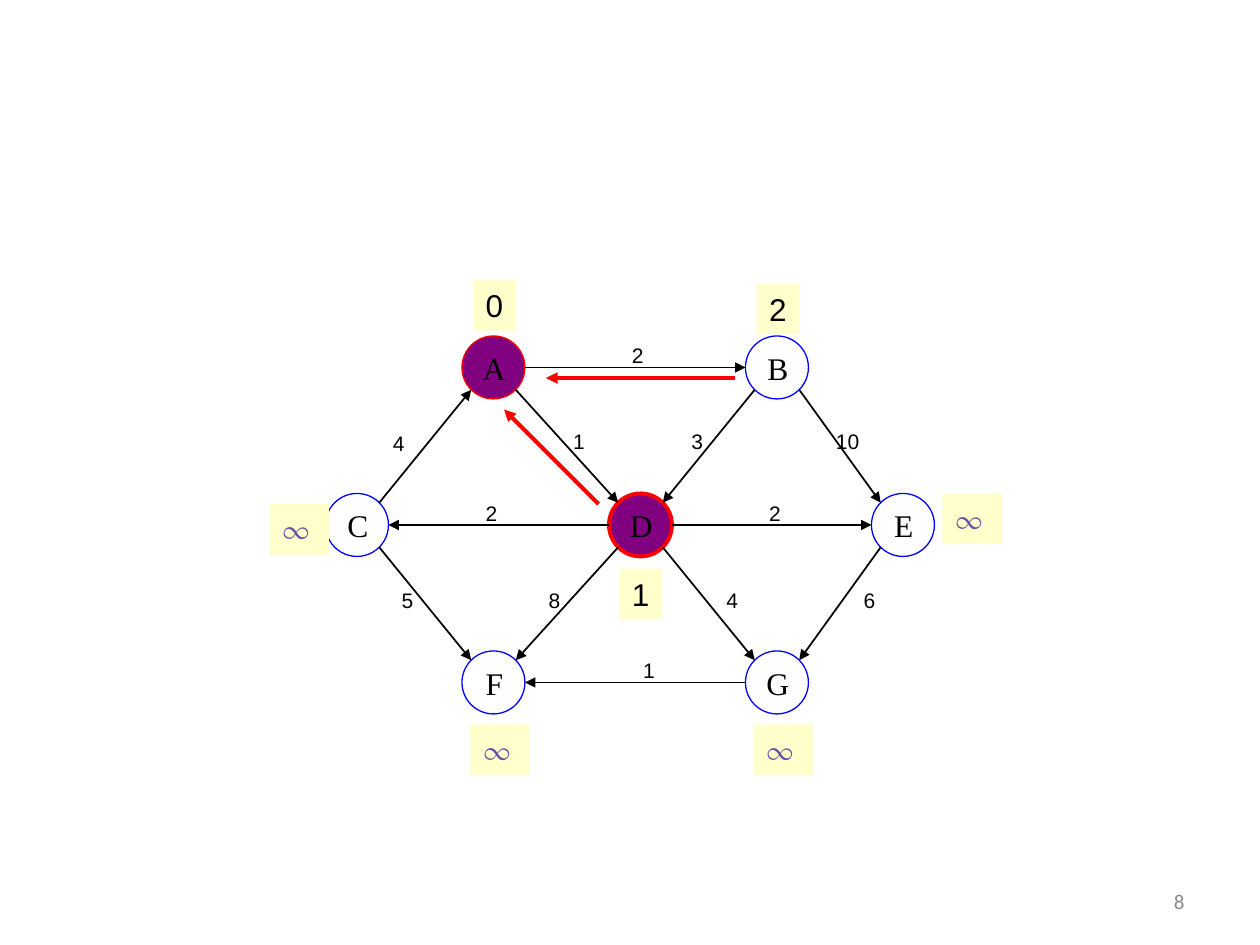
from dataclasses import dataclass

from lxml import etree
from pptx import Presentation
from pptx.dml.color import RGBColor
from pptx.enum import shapes, text
from pptx.oxml import ns
from pptx.util import Pt


@dataclass(frozen=True)
class Theme:
    """Colours, fonts and type sizes of the slide."""
    ink: str = "000000"
    ring: str = "0000FF"
    done: str = "800080"
    hot: str = "FF0000"
    tag: str = "FFFFCC"
    far: str = "674EA7"
    grey: str = "898989"
    serif: str = "Times New Roman"
    sans: str = "Arial"
    math: str = "TeX Gyre Pagella"
    foot: str = "Calibri"
    big: int = 18
    small: int = 12


T = Theme()
SIZE = 36
NODES = {"A": (110, 32), "B": (272, 32), "C": (32, 122), "D": (194, 122),
         "E": (344, 122), "F": (110, 212), "G": (272, 212)}
DONE = {"A": 0.75, "D": 2.25}
EDGES = [("C", "A", "4", 74, 93), ("A", "D", "1", 177, 92),
         ("A", "B", "2", 210.5, 43), ("B", "E", "10", 330.5, 92),
         ("B", "D", "3", 244.5, 92), ("E", "G", "6", 343, 183),
         ("D", "G", "4", 264.5, 183), ("D", "E", "2", 289, 133),
         ("D", "C", "2", 127, 133), ("D", "F", "8", 163, 183),
         ("C", "F", "5", 79, 183), ("G", "F", "1", 217, 223)]
TAGS = [("0", 116.5, 0), ("2", 278.5, 2), ("∞", 0, 128), ("∞", 384.5, 122),
        ("1", 200, 165), ("∞", 114.5, 254), ("∞", 276.5, 254)]
BACK = [(188, 128, 134, 74), (266, 56, 158, 56)]


def write(shape, words, font, size, color, align, anchor, pads):
    """Put one run of text in a shape."""
    frame = shape.text_frame
    frame.word_wrap = True
    frame.vertical_anchor = anchor
    frame.margin_left, frame.margin_right = map(Pt, pads)
    frame.margin_top = frame.margin_bottom = Pt(3.6)
    para = frame.paragraphs[0]
    para.alignment = align
    run = para.add_run()
    run.text = words
    run.font.name = font
    run.font.size = Pt(size)
    run.font.color.rgb = RGBColor.from_string(color)


def arrow(slide, start, end, color, width):
    """Draw a straight line with an arrowhead at its end."""
    line = slide.shapes.add_connector(
        shapes.MSO_CONNECTOR.STRAIGHT, *map(Pt, (*start, *end)))
    line.line.color.rgb = RGBColor.from_string(color)
    line.line.width = Pt(width)
    tail = etree.SubElement(line.line._get_or_add_ln(), ns.qn("a:tailEnd"))
    tail.set("type", "triangle")
    etree.SubElement(line._element.spPr, ns.qn("a:effectLst"))


def node(slide, x, y, name):
    """Draw a named node, filled once it is settled."""
    disc = slide.shapes.add_shape(
        shapes.MSO_SHAPE.OVAL, *map(Pt, (x, y, SIZE, SIZE)))
    disc.shadow.inherit = False
    done = name in DONE
    if done:
        disc.fill.solid()
        disc.fill.fore_color.rgb = RGBColor.from_string(T.done)
    else:
        disc.fill.background()
    disc.line.color.rgb = RGBColor.from_string(T.hot if done else T.ring)
    disc.line.width = Pt(DONE.get(name, 0.75))
    write(disc, name, T.serif, T.big, T.ink, text.PP_ALIGN.CENTER,
          text.MSO_ANCHOR.MIDDLE, (1, 0))


def rim(name, other):
    """Find where an edge towards another node leaves the rim."""
    (x, y), (ox, oy) = NODES[name], NODES[other]
    dx, dy = (ox > x) - (ox < x), (oy > y) - (oy < y)
    reach = SIZE / 2 / (dx * dx + dy * dy) ** 0.5
    return x + SIZE / 2 + dx * reach, y + SIZE / 2 + dy * reach


def weight(slide, x, y, words):
    """Write an edge weight centred on a point."""
    wide = 14.4 + 6.7 * len(words)
    box = slide.shapes.add_textbox(
        *map(Pt, (x - wide / 2, y - 10.8, wide, 21.6)))
    write(box, words, T.sans, T.small, T.ink, text.PP_ALIGN.LEFT,
          text.MSO_ANCHOR.MIDDLE, (7.2, 0))


def tag(slide, x, y, words):
    """Draw a distance tag."""
    far = words == "∞"
    box = slide.shapes.add_shape(
        shapes.MSO_SHAPE.RECTANGLE, *map(Pt, (x, y, 34 if far else 24.5, 29)))
    box.shadow.inherit = False
    box.fill.solid()
    box.fill.fore_color.rgb = RGBColor.from_string(T.tag)
    box.line.fill.background()
    write(box, words, T.math if far else T.sans, T.big,
          T.far if far else T.ink, text.PP_ALIGN.LEFT,
          text.MSO_ANCHOR.TOP, (7.2, 0))


def graph(slide, left, top):
    """Draw the weighted graph from its top left corner."""
    def move(point):
        return left + point[0], top + point[1]

    for name, spot in NODES.items():
        node(slide, *move(spot), name)
    for start, end, *_ in EDGES:
        arrow(slide, move(rim(start, end)), move(rim(end, start)), T.ink, 1)
    for _, _, words, x, y in EDGES:
        weight(slide, *move((x, y)), words)
    for words, x, y in TAGS:
        tag(slide, *move((x, y)), words)
    for x, y, tox, toy in BACK:
        arrow(slide, move((x, y)), move((tox, toy)), T.hot, 2.25)


def folio(slide, x, y, w, h):
    """Write the page number in its box."""
    box = slide.shapes.add_textbox(*map(Pt, (x, y, w, h)))
    write(box, "8", T.foot, T.small, T.grey, text.PP_ALIGN.RIGHT,
          text.MSO_ANCHOR.MIDDLE, (7.2, 7.2))


def main():
    """Build and save the slide."""
    deck = Presentation()
    deck.slide_width, deck.slide_height = Pt(720), Pt(540)
    slide = deck.slides.add_slide(deck.slide_layouts[6])
    folio(slide, 516, 500.5, 168, 29)
    graph(slide, 154, 160)
    deck.save("out.pptx")


if __name__ == "__main__":
    main()
